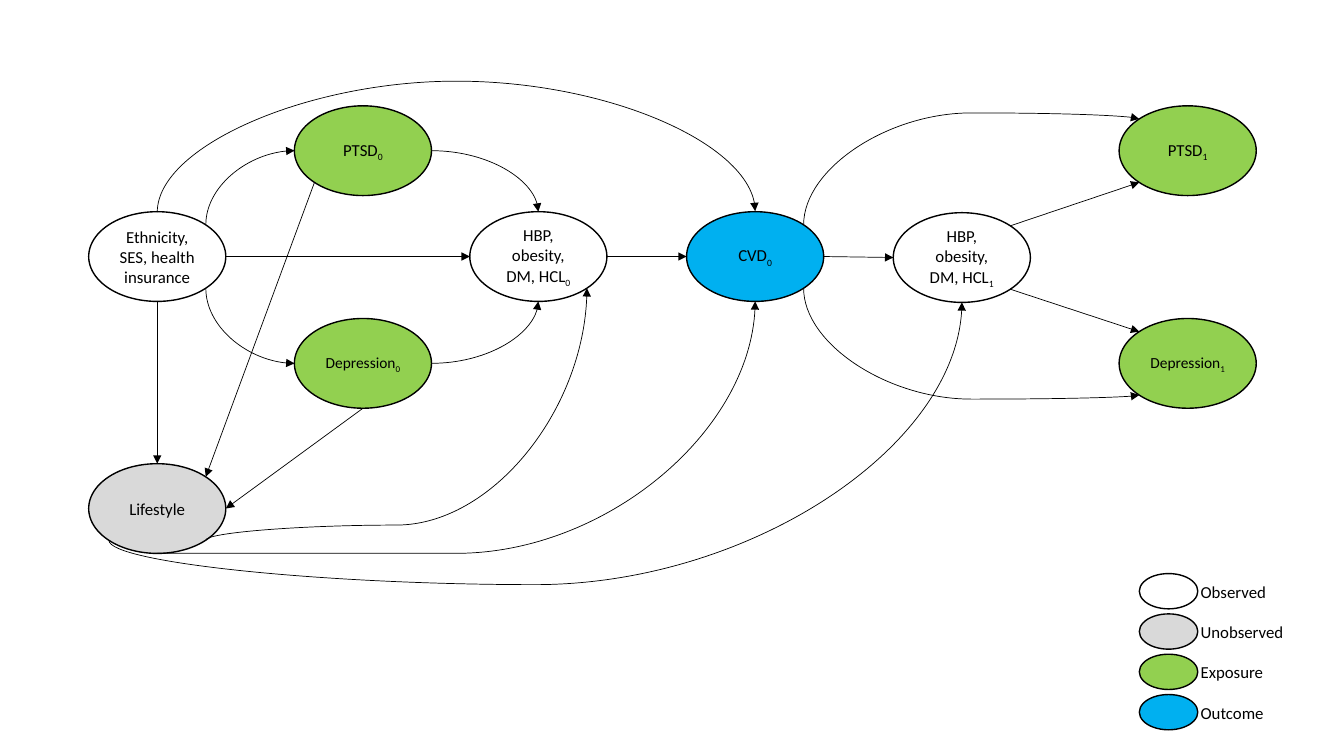
from lxml import etree
from pptx import Presentation
from pptx.dml.color import RGBColor
from pptx.enum.shapes import MSO_CONNECTOR, MSO_SHAPE
from pptx.enum.text import MSO_ANCHOR, PP_ALIGN
from pptx.oxml.ns import qn
from pptx.util import Inches, Pt

ELLIPSE = MSO_SHAPE.OVAL
STRAIGHT, CURVE = MSO_CONNECTOR.STRAIGHT, MSO_CONNECTOR.CURVE
MIDDLE = MSO_ANCHOR.MIDDLE
CENTER, LEFT = PP_ALIGN.CENTER, PP_ALIGN.LEFT

COLORS = {
    "ink": "000000",
    "observed": "FFFFFF",
    "unobserved": "D9D9D9",
    "exposure": "92D050",
    "outcome": "00B0F0",
}
FONT = "Calibri"
NODE_SIZE = (1.36, 0.89)
DIAGONAL = 0.7071
MIN_SPAN = Inches(0.01)

SITES = {
    "top": (0, 0, -1),
    "top left": (1, -DIAGONAL, -DIAGONAL),
    "left": (2, -1, 0),
    "bottom left": (3, -DIAGONAL, DIAGONAL),
    "bottom": (4, 0, 1),
    "bottom right": (5, DIAGONAL, DIAGONAL),
    "right": (6, 1, 0),
    "top right": (7, DIAGONAL, -DIAGONAL),
}

NODES = {
    "background": (0, 1.05, "observed", "Ethnicity, SES, health insurance", "", 12),
    "ptsd before": (2.04, 0, "exposure", "PTSD", "0", 12),
    "depression before": (2.04, 2.11, "exposure", "Depression", "0", 11),
    "risks before": (3.78, 1.05, "observed", "HBP, obesity, DM, HCL", "0", 12),
    "cvd": (5.93, 1.05, "outcome", "CVD", "0", 12),
    "risks after": (7.98, 1.06, "observed", "HBP, obesity, DM, HCL", "1", 12),
    "ptsd after": (10.22, 0, "exposure", "PTSD", "1", 12),
    "depression after": (10.22, 2.11, "exposure", "Depression", "1", 11),
    "lifestyle": (0, 3.55, "unobserved", "Lifestyle", "", 12),
}

STRAIGHT_ARROWS = [
    ("background", "bottom", "lifestyle", "top"),
    ("background", "right", "risks before", "left"),
    ("risks before", "right", "cvd", "left"),
    ("cvd", "right", "risks after", "left"),
    ("ptsd before", "bottom left", "lifestyle", "top right"),
    ("depression before", "bottom", "lifestyle", "right"),
    ("risks after", "top right", "ptsd after", "bottom left"),
    ("risks after", "bottom right", "depression after", "top left"),
]

QUARTER_ARROWS = [
    ("ptsd before", "right", "risks before", "top"),
    ("depression before", "right", "risks before", "bottom"),
    ("background", "top right", "ptsd before", "left"),
    ("background", "bottom right", "depression before", "left"),
]

ARCHED_ARROWS = [
    ("background", "top", "cvd", "top", 0.78),
    ("lifestyle", "bottom right", "risks before", "bottom right", 5.21),
    ("lifestyle", "bottom", "cvd", "bottom", 5.49),
    ("lifestyle", "bottom left", "risks after", "bottom", 5.8),
    ("cvd", "top right", "ptsd after", "top left", 1.12),
    ("cvd", "bottom right", "depression after", "bottom left", 3.96),
]


def color(name):
    return RGBColor.from_string(COLORS[name])


def write(shape, text, subscript="", size=12, align=LEFT, wrap=True):
    frame = shape.text_frame
    frame.word_wrap = wrap
    para = frame.paragraphs[0]
    para.alignment = align
    for words, baseline in ((text, None), (subscript, "-25000")):
        if words:
            span = para.add_run()
            span.text = words
            span.font.name = FONT
            span.font.size = Pt(size)
            span.font.color.rgb = color("ink")
            if baseline:
                span._r.get_or_add_rPr().set("baseline", baseline)


def add_ellipse(page, left, top, width, height, fill):
    ellipse = page.shapes.add_shape(
        ELLIPSE, Inches(left), Inches(top), Inches(width), Inches(height))
    ellipse.shadow.inherit = False
    ellipse.fill.solid()
    ellipse.fill.fore_color.rgb = color(fill)
    ellipse.line.color.rgb = color("ink")
    ellipse.line.width = Pt(1)
    return ellipse


def site_point(node, site):
    _, across, down = SITES[site]
    return (int(node.left + node.width * (1 + across) / 2),
            int(node.top + node.height * (1 + down) / 2))


def turn_upright(arrow, start, end, bend):
    (x1, y1), (x2, y2) = start, end
    rising = y2 <= y1
    span, reach = max(abs(y2 - y1), MIN_SPAN), abs(x2 - x1)
    arrow.left = (x1 + x2 - span) // 2
    arrow.top = (y1 + y2 - reach) // 2
    arrow.width, arrow.height = span, reach
    frame = arrow._element.spPr.find(qn("a:xfrm"))
    frame.set("rot", str((90 if rising else 270) * 60000))
    frame.set("flipH", "1")
    frame.set("flipV", "1" if rising else "0")
    if bend is not None:
        offset = (Inches(bend) - y1) * (-1 if rising else 1)
        guides = arrow._element.spPr.find(qn("a:prstGeom")).find(qn("a:avLst"))
        etree.SubElement(guides, qn("a:gd"), name="adj1",
                         fmla=f"val {round(offset / span * 100000)}")


def add_arrow(page, source, source_site, target, target_site,
              kind=STRAIGHT, bend=None):
    start, end = site_point(source, source_site), site_point(target, target_site)
    arrow = page.shapes.add_connector(kind, *start, *end)
    arrow.line.color.rgb = color("ink")
    arrow.line.width = Pt(0.5)
    properties = arrow._element.spPr
    etree.SubElement(properties.find(qn("a:ln")), qn("a:tailEnd"), type="triangle")
    etree.SubElement(properties, qn("a:effectLst"))
    if kind == CURVE:
        if bend is None:
            properties.find(qn("a:prstGeom")).set("prst", "curvedConnector2")
        if source_site != "right":
            turn_upright(arrow, start, end, bend)
    links = arrow._element.nvCxnSpPr.cNvCxnSpPr
    for link, node, site in ((links.get_or_add_stCxn(), source, source_site),
                             (links.get_or_add_endCxn(), target, target_site)):
        link.id, link.idx = node.shape_id, SITES[site][0]


def add_causal_diagram(page, left, top):
    nodes = {}
    for name, (across, down, fill, text, subscript, size) in NODES.items():
        node = add_ellipse(page, left + across, top + down, *NODE_SIZE, fill)
        node.text_frame.vertical_anchor = MIDDLE
        write(node, text, subscript=subscript, size=size, align=CENTER)
        nodes[name] = node
    for kind, arrows in ((STRAIGHT, STRAIGHT_ARROWS),
                         (CURVE, QUARTER_ARROWS), (CURVE, ARCHED_ARROWS)):
        for source, source_site, target, target_site, *bend in arrows:
            add_arrow(page, nodes[source], source_site, nodes[target], target_site,
                      kind=kind, bend=bend[0] if bend else None)


def add_legend(page, left, top, pitch):
    for row, name in enumerate(("observed", "unobserved", "exposure", "outcome")):
        y = top + row * pitch
        add_ellipse(page, left, y, 0.58, 0.35, name)
        box = page.shapes.add_textbox(
            Inches(left + 0.51), Inches(y + 0.03), Inches(1.03), Inches(0.3))
        write(box, name.capitalize(), wrap=False)


def main():
    deck = Presentation()
    deck.slide_width, deck.slide_height = Inches(13.33), Inches(7.5)
    page = deck.slides.add_slide(deck.slide_layouts[6])
    add_causal_diagram(page, left=0.88, top=1.05)
    add_legend(page, left=11.3, top=5.69, pitch=0.4)
    deck.save("out.pptx")


if __name__ == "__main__":
    main()
